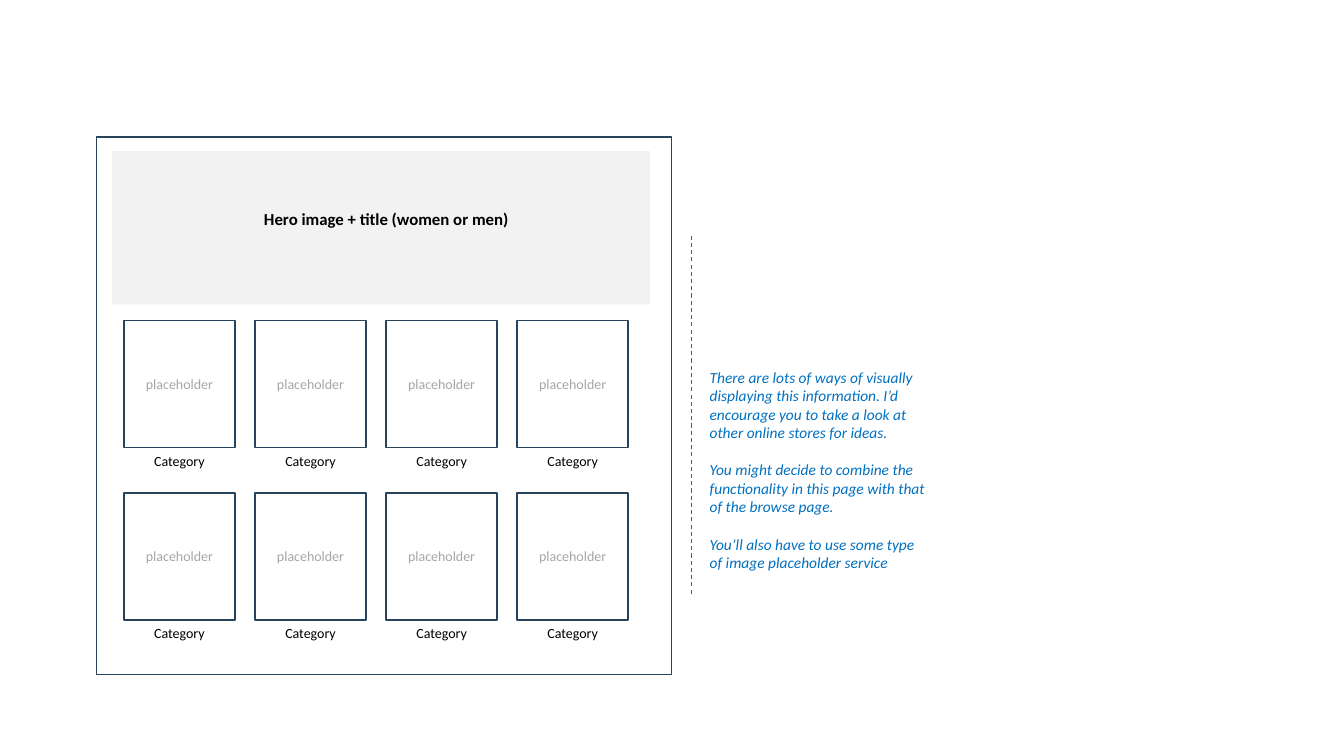
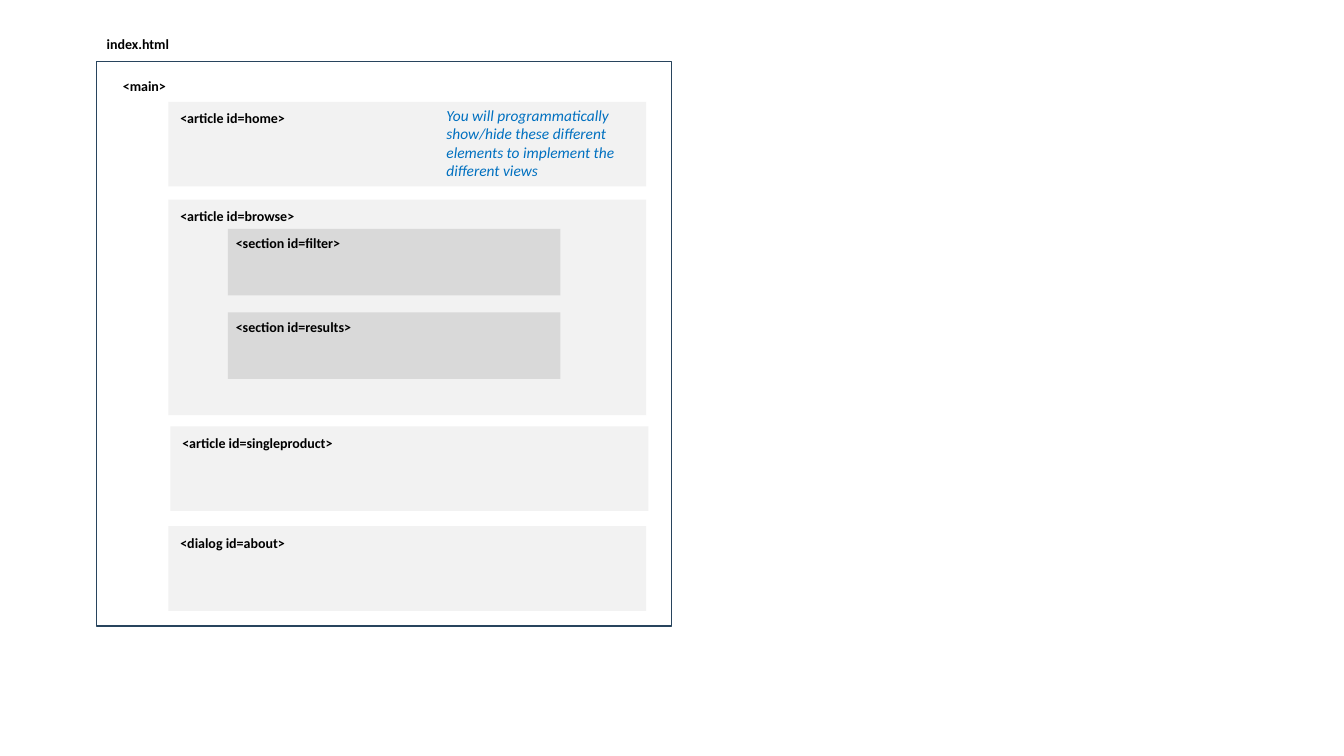
from itertools import product

from lxml.etree import SubElement
from pptx import Presentation
from pptx.dml.color import RGBColor
from pptx.enum.dml import MSO_LINE
from pptx.enum.shapes import MSO_CONNECTOR, MSO_SHAPE
from pptx.enum.text import MSO_ANCHOR, MSO_AUTO_SIZE, PP_ALIGN
from pptx.oxml.ns import qn
from pptx.util import Inches, Pt

# Shared look
COLORS = {
    "navy": "28445D",
    "white": "FFFFFF",
    "light": "F2F2F2",
    "medium": "D9D9D9",
    "muted": "A6A6A6",
    "black": "000000",
    "blue": "0070C0",
    "divider": "595959",
}
STYLES = {
    "label": ({"size": Pt(10), "bold": True}, "black", PP_ALIGN.LEFT),
    "hero": ({"size": Pt(12), "bold": True}, "black", PP_ALIGN.LEFT),
    "caption": ({"size": Pt(10)}, "black", PP_ALIGN.CENTER),
    "placeholder": ({"size": Pt(10)}, "muted", PP_ALIGN.CENTER),
    "note": ({"size": Pt(11), "italic": True}, "blue", PP_ALIGN.LEFT),
}
FRAME_LEFT, FRAME_WIDTH = 0.96, 5.7
LABEL_HEIGHT = 0.27
NOTE_WIDTH = 2.34
NOTE_GAP = Pt(13.4)

# Category page: cards in a grid, with notes at the side
HERO_TITLE = "Hero image + title (women or men)"
CARD_TEXT, CARD_CAPTION = "placeholder", "Category"
CARD_COLUMNS, CARD_ROWS = 4, 2
CARD_LEFT, CARD_TOP = 1.23, 3.18
CARD_WIDTH, CARD_HEIGHT = 1.1, 1.26
COLUMN_STEP, ROW_STEP = 1.3, 1.71
CATEGORY_NOTES = [
    "There are lots of ways of visually displaying this information. "
    "I’d encourage you to take a look at other online stores for ideas.",
    "You might decide to combine the functionality in this page with that of the browse page.",
    "You’ll also have to use some type of image placeholder service",
]

# Page structure: label, left, top, height
ARTICLES = [
    ("<article id=home>", 1.67, 1.01, 0.84),
    ("<article id=browse>", 1.67, 1.98, 2.14),
    ("<article id=singleproduct>", 1.69, 4.23, 0.84),
    ("<dialog id=about>", 1.67, 5.22, 0.84),
]
SECTIONS = [
    ("<section id=filter>", 2.26, 2.27, 0.66),
    ("<section id=results>", 2.26, 3.1, 0.66),
]
# Blocks, width, fill, label offsets to the right and down
BLOCK_GROUPS = [
    (ARTICLES, 4.74, "light", 0.02, 0.03),
    (SECTIONS, 3.3, "medium", -0.02, 0.01),
]
PAGE_LABELS = [("index.html", 0.96, 0.3), ("<main>", 1.12, 0.72)]
STRUCTURE_NOTES = [
    "You will programmatically show/hide these different elements "
    "to implement the different views"
]


def color(name):
    return RGBColor.from_string(COLORS[name])


def write(text_frame, texts, style):
    font_values, color_name, alignment = STYLES[style]
    text_frame.word_wrap = True
    for index, text in enumerate(texts):
        paragraph = text_frame.paragraphs[0] if index == 0 else text_frame.add_paragraph()
        paragraph.alignment = alignment
        if index < len(texts) - 1:
            paragraph.space_after = NOTE_GAP
        run = paragraph.add_run()
        run.text = text
        for name, value in {"name": "Calibri", **font_values}.items():
            setattr(run.font, name, value)
        run.font.color.rgb = color(color_name)


def add_text(slide, box, texts, style):
    shape = slide.shapes.add_textbox(*map(Inches, box))
    write(shape.text_frame, texts, style)
    shape.text_frame.auto_size = MSO_AUTO_SIZE.SHAPE_TO_FIT_TEXT


def add_box(slide, box, fill=None, line=None):
    shape = slide.shapes.add_shape(MSO_SHAPE.RECTANGLE, *map(Inches, box))
    shape.shadow.inherit = False
    if fill:
        shape.fill.solid()
        shape.fill.fore_color.rgb = color(fill)
    else:
        shape.fill.background()
    if line:
        shape.line.color.rgb = color(line)
        shape.line.width = Pt(1)
    else:
        shape.line.fill.background()
    return shape


def add_page(presentation, frame_top, frame_height):
    slide = presentation.slides.add_slide(presentation.slide_layouts[6])
    add_box(slide, (FRAME_LEFT, frame_top, FRAME_WIDTH, frame_height), line="navy")
    return slide


def add_card(slide, left, top):
    card = add_box(slide, (left, top, CARD_WIDTH, CARD_HEIGHT), "white", "navy")
    text_frame = card.text_frame
    for side in ("left", "top", "right", "bottom"):
        setattr(text_frame, f"margin_{side}", 0)
    text_frame.vertical_anchor = MSO_ANCHOR.MIDDLE
    write(text_frame, [CARD_TEXT], "placeholder")
    caption_box = (left, top + CARD_HEIGHT, CARD_WIDTH, LABEL_HEIGHT)
    add_text(slide, caption_box, [CARD_CAPTION], "caption")


def add_divider(slide, left, top, bottom):
    divider = slide.shapes.add_connector(
        MSO_CONNECTOR.STRAIGHT, *map(Inches, (left, bottom, left, top)))
    divider.line.color.rgb = color("divider")
    divider.line.width = Pt(0.75)
    divider.line.dash_style = MSO_LINE.DASH
    SubElement(divider._element.spPr, qn("a:effectLst"))


def build_category_page(presentation):
    slide = add_page(presentation, 1.36, 5.33)
    add_box(slide, (1.11, 1.5, 5.34, 1.52), "light")
    add_text(slide, (2.52, 2.02, 2.77, 0.3), [HERO_TITLE], "hero")
    for row, column in product(range(CARD_ROWS), range(CARD_COLUMNS)):
        add_card(slide, CARD_LEFT + column * COLUMN_STEP, CARD_TOP + row * ROW_STEP)
    add_divider(slide, 6.86, 2.32, 5.89)
    add_text(slide, (6.94, 3.6, NOTE_WIDTH, 2.14), CATEGORY_NOTES, "note")


def build_structure_page(presentation):
    slide = add_page(presentation, 0.61, 5.6)
    for label, left, top in PAGE_LABELS:
        add_text(slide, (left, top, 1.15, LABEL_HEIGHT), [label], "label")
    for blocks, width, fill, offset_x, offset_y in BLOCK_GROUPS:
        for label, left, top, height in blocks:
            add_box(slide, (left, top, width, height), fill)
            label_box = (left + offset_x, top + offset_y, 2.02, LABEL_HEIGHT)
            add_text(slide, label_box, [label], "label")
    add_text(slide, (4.33, 1, NOTE_WIDTH, 0.84), STRUCTURE_NOTES, "note")


def main():
    presentation = Presentation()
    presentation.slide_width = Inches(13.33)
    presentation.slide_height = Inches(7.5)
    build_category_page(presentation)
    build_structure_page(presentation)
    presentation.save("out.pptx")


if __name__ == "__main__":
    main()
